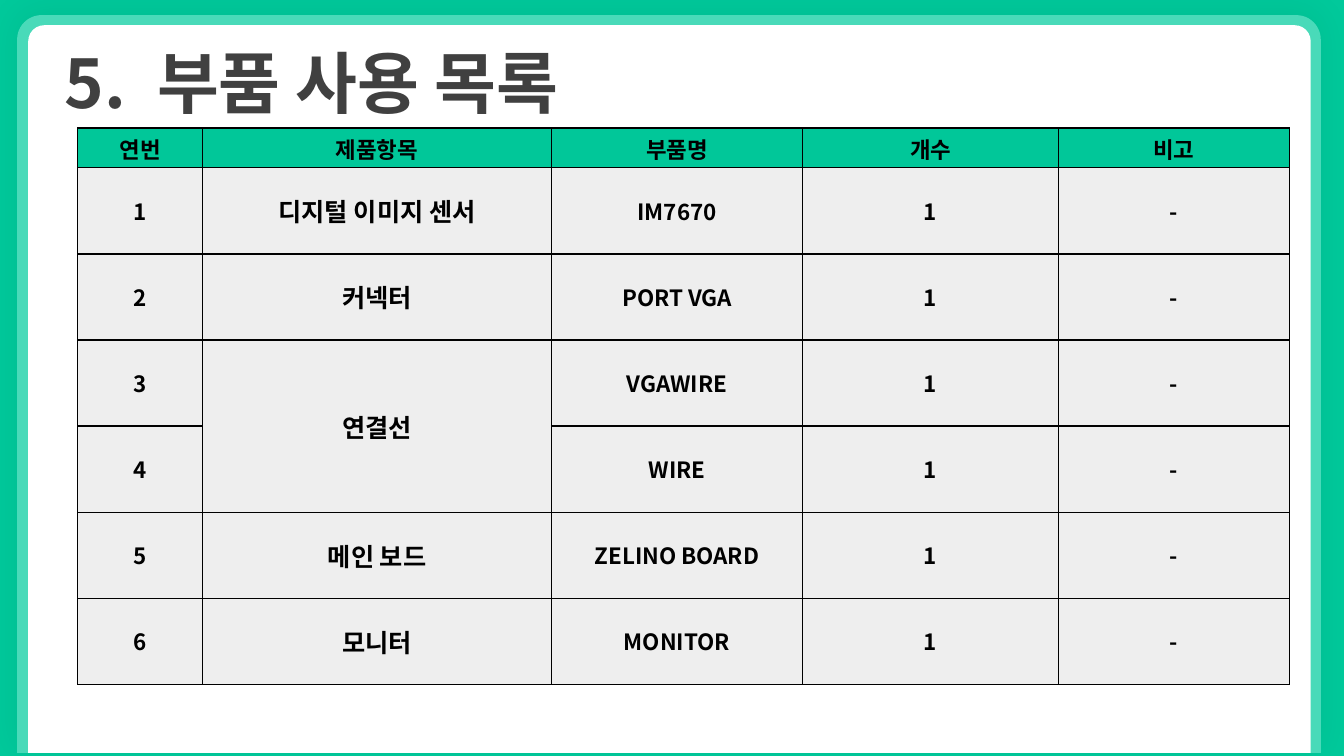
from dataclasses import dataclass

import lxml.etree
import pptx
import pptx.dml.color
import pptx.enum.shapes
import pptx.enum.text
import pptx.oxml.ns
import pptx.util


@dataclass(frozen=True)
class Theme:
    font: str = "Noto Sans CJK KR"
    backdrop: str = "01C99B"
    rim: str = "49DAB9"
    panel: str = "FFFFFF"
    title: str = "404040"
    ink: str = "000000"
    header: str = "01C799"
    body: str = "EEEEEE"
    title_size: int = 48
    item_size: int = 18
    cell_size: int = 16


THEME = Theme()
GRID_COLUMNS, GRID_ROWS = 133.3, 75
CELL = pptx.util.Inches(0.1)

HEADINGS = ["연번", "제품항목", "부품명", "개수", "비고"]
PARTS = [
    ("디지털 이미지 센서", "IM7670"),
    ("커넥터", "PORT VGA"),
    ("연결선", "VGAWIRE"),
    ("", "WIRE"),
    ("메인 보드", "ZELINO BOARD"),
    ("모니터", "MONITOR"),
]
COLUMN_WIDTHS = [12.4, 34.6, 24.9, 25.4, 22.9]
HEADER_HEIGHT, PART_HEIGHT = 3.95, 8.54
ITEM_COLUMN = 1


def grid(*cells):
    return [round(cell * CELL) for cell in cells]


def color(code):
    return pptx.dml.color.RGBColor.from_string(code)


def paint(target, code):
    target.fill.solid()
    target.fill.fore_color.rgb = color(code)


def add_xml(parent, tag, **attributes):
    child = lxml.etree.SubElement(parent, pptx.oxml.ns.qn(tag))
    for key, value in attributes.items():
        child.set(key, str(value))
    return child


def write(paragraph, text, size, code):
    run = paragraph.add_run()
    run.text = text
    run.font.size = pptx.util.Pt(size)
    run.font.bold = True
    run.font.name = THEME.font
    run.font.color.rgb = color(code)
    add_xml(run.font._element, "a:ea", typeface=THEME.font)


def add_panel(slide, area, code, rounding):
    panel = slide.shapes.add_shape(
        pptx.enum.shapes.MSO_SHAPE.ROUND_2_SAME_RECTANGLE, *grid(*area))
    panel.adjustments[0] = rounding
    panel.adjustments[1] = 0
    panel.shadow.inherit = False
    panel.line.fill.background()
    paint(panel, code)
    return panel


def add_soft_shadow(panel):
    effects = panel._element.spPr.find(pptx.oxml.ns.qn("a:effectLst"))
    shadow = add_xml(effects, "a:outerShdw", blurRad=pptx.util.Pt(24),
                     dist=pptx.util.Pt(3), dir=270 * 60000, rotWithShape=0)
    tint = add_xml(shadow, "a:srgbClr", val=THEME.ink)
    add_xml(tint, "a:alpha", val=5000)


def add_title(slide, area, number, text):
    frame = slide.shapes.add_textbox(*grid(*area)).text_frame
    frame.word_wrap = True
    frame.auto_size = pptx.enum.text.MSO_AUTO_SIZE.SHAPE_TO_FIT_TEXT
    heading = frame.paragraphs[0]
    stops = add_xml(heading._p.get_or_add_pPr(), "a:tabLst")
    add_xml(stops, "a:tab", pos=pptx.util.Inches(0.92), algn="l")
    write(heading, f"{number}\t{text}", THEME.title_size, THEME.title)


def add_borders(cell):
    properties = cell._tc.get_or_add_tcPr()
    for side in ("a:lnL", "a:lnR", "a:lnT", "a:lnB"):
        border = add_xml(properties, side, w=pptx.util.Pt(1))
        add_xml(add_xml(border, "a:solidFill"), "a:srgbClr", val=THEME.ink)


def fill_cell(cell, text, size, code):
    add_borders(cell)
    paint(cell, code)
    cell.vertical_anchor = pptx.enum.text.MSO_ANCHOR.MIDDLE
    paragraph = cell.text_frame.paragraphs[0]
    paragraph.alignment = pptx.enum.text.PP_ALIGN.CENTER
    if text:
        write(paragraph, text, size, THEME.ink)


def add_parts_table(slide, left, top):
    records = [HEADINGS] + [
        [str(number), item, part, "1", "-"]
        for number, (item, part) in enumerate(PARTS, 1)]
    heights = [HEADER_HEIGHT] + [PART_HEIGHT] * len(PARTS)
    table = slide.shapes.add_table(
        len(records), len(HEADINGS),
        *grid(left, top, sum(COLUMN_WIDTHS), sum(heights))).table
    for column, width in zip(table.columns, grid(*COLUMN_WIDTHS)):
        column.width = width
    for row, height in zip(table.rows, grid(*heights)):
        row.height = height
    for row, record in enumerate(records):
        for column, text in enumerate(record):
            is_item = row > 0 and column == ITEM_COLUMN
            fill_cell(table.cell(row, column), text,
                      THEME.item_size if is_item else THEME.cell_size,
                      THEME.body if row else THEME.header)
    for row, record in enumerate(records):
        if not record[ITEM_COLUMN]:
            table.cell(row - 1, ITEM_COLUMN).merge(table.cell(row, ITEM_COLUMN))


def main():
    deck = pptx.Presentation()
    deck.slide_width, deck.slide_height = grid(GRID_COLUMNS, GRID_ROWS)
    slide = deck.slides.add_slide(deck.slide_layouts[6])
    paint(slide.background, THEME.backdrop)
    rim = add_panel(slide, (1.7, 1.5, 129.3, 73.2), THEME.rim, 0.033)
    add_soft_shadow(rim)
    add_panel(slide, (2.8, 2.5, 127.2, 72.2), THEME.panel, 0.022)
    add_title(slide, (5.4, 3.6, 71.1, 9.1), "5.", "부품 사용 목록")
    add_parts_table(slide, 7.7, 12.7)
    deck.save("out.pptx")


if __name__ == "__main__":
    main()
